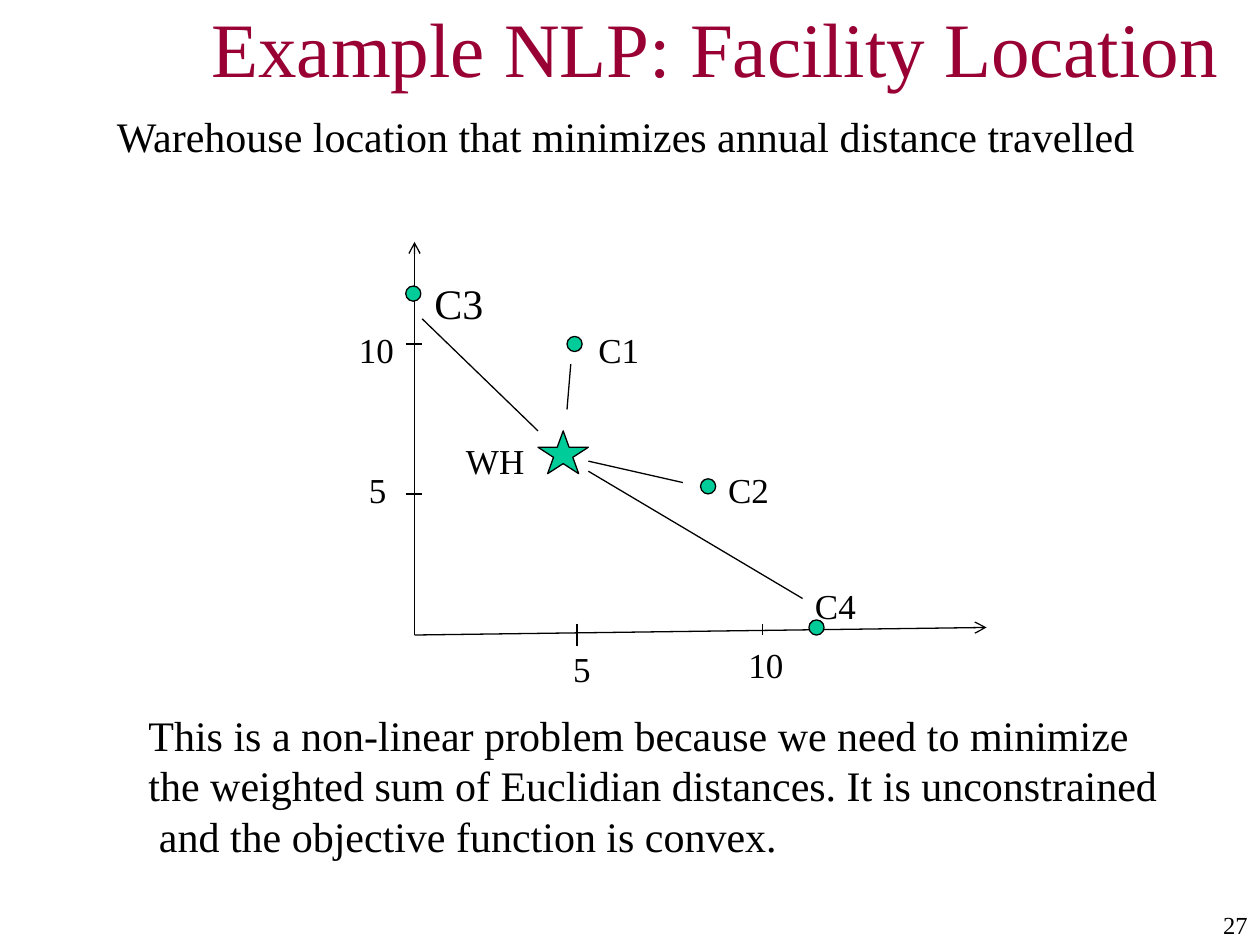
from lxml import etree
from pptx import Presentation
from pptx.dml.color import RGBColor
from pptx.enum.shapes import MSO_CONNECTOR, MSO_SHAPE
from pptx.enum.text import MSO_ANCHOR, PP_ALIGN
from pptx.oxml.ns import qn
from pptx.util import Inches, Pt

COLORS = {"title": "990033", "ink": "000000", "marker": "00CC99"}
LINE_WIDTH = Pt(0.75)

deck = Presentation()
deck.slide_width, deck.slide_height = Inches(10), Inches(7.5)
page = deck.slides.add_slide(deck.slide_layouts[6])


def add_text(text, left, top, width, height, size=20, color="ink",
             align=PP_ALIGN.LEFT, anchor=MSO_ANCHOR.TOP):
    box = page.shapes.add_textbox(Inches(left), Inches(top), Inches(width), Inches(height))
    frame = box.text_frame
    frame.word_wrap = True
    frame.vertical_anchor = anchor
    para = frame.paragraphs[0]
    para.text = text
    para.alignment = align
    para.font.name = "Times New Roman"
    para.font.size = Pt(size)
    para.font.color.rgb = RGBColor.from_string(COLORS[color])


def add_line(x1, y1, x2, y2, arrow=False):
    line = page.shapes.add_connector(
        MSO_CONNECTOR.STRAIGHT, Inches(x1), Inches(y1), Inches(x2), Inches(y2))
    line.line.color.rgb = RGBColor.from_string(COLORS["ink"])
    line.line.width = LINE_WIDTH
    properties = line._element.spPr
    if arrow:
        etree.SubElement(properties.find(qn("a:ln")), qn("a:tailEnd"), type="arrow")
    etree.SubElement(properties, qn("a:effectLst"))


# Title, subtitle and page number
add_text("Example NLP: Facility Location", 1.58, 0.08, 8.42, 0.58,
         size=44, color="title", anchor=MSO_ANCHOR.MIDDLE)
add_text("Warehouse location that minimizes annual distance travelled",
         0.83, 0.83, 8.5, 0.5, size=24)
add_text("27", 8.58, 7.17, 1.42, 0.33, size=14, align=PP_ALIGN.RIGHT)

# Axes
add_line(3.29, 5.04, 3.29, 1.92, arrow=True)
add_line(3.29, 5.04, 7.83, 4.98, arrow=True)

# Ticks
for y in (3.92, 2.73):
    add_line(3.22, y, 3.35, y)
for x, bottom in ((4.58, 5.13), (6.05, 5.04)):
    add_line(x, 4.95, x, bottom)

# Tick labels
for text, left, top, width in (
    ("5", 2.83, 3.67, 0.43),
    ("10", 2.75, 2.56, 0.6),
    ("5", 4.45, 5.09, 0.43),
    ("10", 5.84, 5.06, 0.71),
):
    add_text(text, left, top, width, 0.44)

# Customers and the warehouse
for kind, left, top, width, height in (
    (MSO_SHAPE.OVAL, 3.22, 2.27, 0.12, 0.12),
    (MSO_SHAPE.OVAL, 4.5, 2.67, 0.12, 0.12),
    (MSO_SHAPE.OVAL, 5.56, 3.8, 0.12, 0.12),
    (MSO_SHAPE.OVAL, 6.42, 4.92, 0.12, 0.12),
    (MSO_SHAPE.STAR_5_POINT, 4.27, 3.42, 0.4, 0.34),
):
    marker = page.shapes.add_shape(
        kind, Inches(left), Inches(top), Inches(width), Inches(height))
    marker.shadow.inherit = False
    marker.fill.solid()
    marker.fill.fore_color.rgb = RGBColor.from_string(COLORS["marker"])
    marker.line.color.rgb = RGBColor.from_string(COLORS["ink"])
    marker.line.width = LINE_WIDTH

# Location labels
add_text("C3", 3.35, 2.15, 0.63, 0.5, size=24)
for text, left, top, width in (
    ("C1", 4.65, 2.56, 0.63),
    ("C2", 5.68, 3.67, 0.63),
    ("C4", 6.37, 4.59, 0.63),
    ("WH", 3.6, 3.44, 0.9),
):
    add_text(text, left, top, width, 0.44)

# Distances from the warehouse to each customer
for ends in (
    (3.35, 2.53, 4.27, 3.42),
    (4.53, 2.89, 4.5, 3.25),
    (4.67, 3.66, 5.42, 3.83),
    (4.67, 3.74, 6.37, 4.75),
):
    add_line(*ends)

# Conclusion
add_text("This is a non-linear problem because we need to minimize the weighted sum "
         "of Euclidian distances. It is unconstrained\v and the objective function is convex.",
         1.08, 5.58, 8.25, 1.3, size=24)

deck.save("out.pptx")
